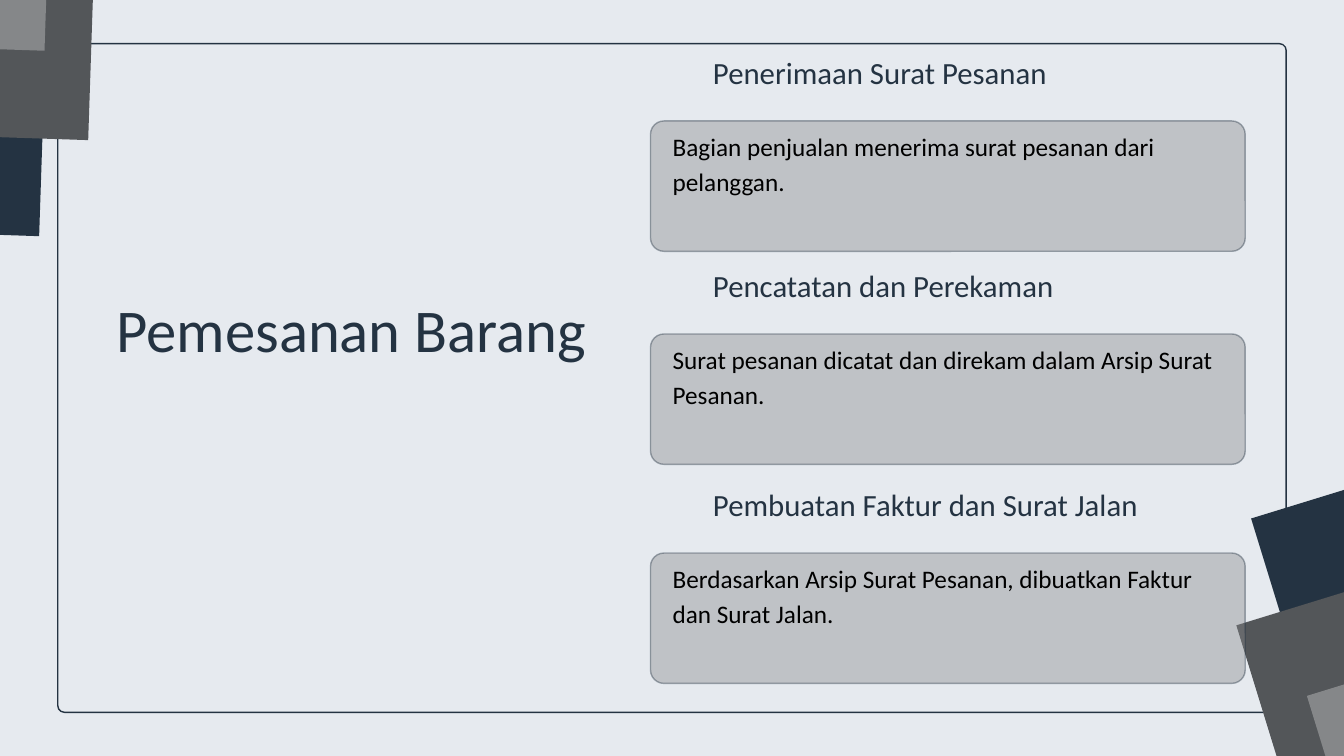
from pptx import Presentation
from pptx.dml.color import RGBColor
from pptx.enum.shapes import MSO_SHAPE
from pptx.enum.text import MSO_ANCHOR, MSO_AUTO_SIZE, PP_ALIGN
from pptx.oxml.ns import qn
from pptx.util import Emu, Pt
from lxml import etree

PX = 9144  # 100 px to the inch
TITLE_ONLY = 5
RECTANGLE, ROUNDED = MSO_SHAPE.RECTANGLE, MSO_SHAPE.ROUNDED_RECTANGLE
LEFT, CENTER = PP_ALIGN.LEFT, PP_ALIGN.CENTER
TOP, NO_AUTOFIT = MSO_ANCHOR.TOP, MSO_AUTO_SIZE.NONE

COLORS = {
    "paper": "E6EAEF",
    "navy": "243342",
    "slate": "535659",
    "gray": "858789",
    "black": "000000",
}
STEPS = [
    (180, "Penerimaan Surat Pesanan",
     "Bagian penjualan menerima surat pesanan dari pelanggan."),
    (497, "Pencatatan dan Perekaman",
     "Surat pesanan dicatat dan direkam dalam Arsip Surat Pesanan."),
    (823, "Pembuatan Faktur dan Surat Jalan",
     "Berdasarkan Arsip Surat Pesanan, dibuatkan Faktur dan Surat Jalan."),
]
TILE_COLORS = ("navy", "slate", "gray")
TILE_STACKS = [  # rotation, then the left and top of each tile
    (271.9, [(-540, -267), (-467, -410), (-532, -543)]),
    (72.9, [(1939, 667), (1917, 826), (2022, 931)]),
]


def px(*lengths):
    return [Emu(length * PX) for length in lengths]


def rgb(name):
    return RGBColor.from_string(COLORS[name])


def set_opacity(fill_parent, percent):
    color = fill_parent.find(qn("a:solidFill"))[0]
    etree.SubElement(color, qn("a:alpha"), val=str(percent * 1000))


def write(frame, text, *, size, color, leading, align=LEFT, font="Calibri"):
    frame.word_wrap = True
    frame.auto_size = NO_AUTOFIT
    frame.vertical_anchor = TOP
    frame.margin_left = frame.margin_right = 0
    frame.margin_top = frame.margin_bottom = 0
    frame.text = text
    paragraph = frame.paragraphs[0]
    paragraph.alignment = align
    paragraph.line_spacing = Pt(leading)
    paragraph.space_before = Pt(0)
    paragraph.font.name = font
    paragraph.font.size = Pt(size)
    paragraph.font.color.rgb = rgb(color)


class SlideBuilder:
    """Holds the slide in work and draws its elements in the deck's style."""

    def __init__(self, slide):
        self.slide = slide
        slide.background.fill.solid()
        slide.background.fill.fore_color.rgb = rgb("paper")

    def title(self, text, box, **style):
        """Fill the title placeholder and bring it in front of what is drawn."""
        title = self.slide.shapes.title
        title.left, title.top, title.width, title.height = px(*box)
        write(title.text_frame, text, **style)
        title.element.getparent().append(title.element)

    def text(self, text, box, **style):
        label = self.slide.shapes.add_textbox(*px(*box))
        write(label.text_frame, text, **style)

    def block(self, kind, box, fill):
        block = self.slide.shapes.add_shape(kind, *px(*box))
        block.shadow.inherit = False
        block.fill.solid()
        block.fill.fore_color.rgb = rgb(fill)
        return block

    def panel(self, box, fill, radius, opacity=100):
        """Draw an outlined block with rounded corners."""
        panel = self.block(ROUNDED, box, fill)
        panel.adjustments[0] = radius / min(box[2:])
        panel.line.color.rgb = rgb("navy")
        panel.line.width = Pt(1.5)
        if opacity < 100:
            properties = panel.element.spPr
            set_opacity(properties, opacity)
            set_opacity(properties.find(qn("a:ln")), opacity)

    def tile(self, left, top, fill, rotation):
        tile = self.block(RECTANGLE, (left, top, 607, 610), fill)
        tile.line.fill.background()
        tile.rotation = rotation

    def step(self, top, heading, description):
        self.panel((968, top, 885, 194), "gray", radius=20, opacity=40)
        self.text(description, (1001, top + 8, 837, 112),
                  size=27, color="black", leading=37.8)
        self.text(heading, (1061, top - 88, 751, 60),
                  size=33, color="navy", leading=30.4)


def main():
    deck = Presentation()
    deck.slide_width, deck.slide_height = px(2000, 1125)
    builder = SlideBuilder(deck.slides.add_slide(deck.slide_layouts[TITLE_ONLY]))

    builder.panel((86, 65, 1828, 995), "paper", radius=10)
    for rotation, corners in TILE_STACKS:
        for (left, top), color in zip(corners, TILE_COLORS):
            builder.tile(left, top, color, rotation)
    builder.title("Pemesanan Barang", (163, 459, 720, 203),
                  size=65, color="navy", leading=59.8, align=CENTER)
    for top, heading, description in STEPS:
        builder.step(top, heading, description)

    deck.save("out.pptx")


if __name__ == "__main__":
    main()
